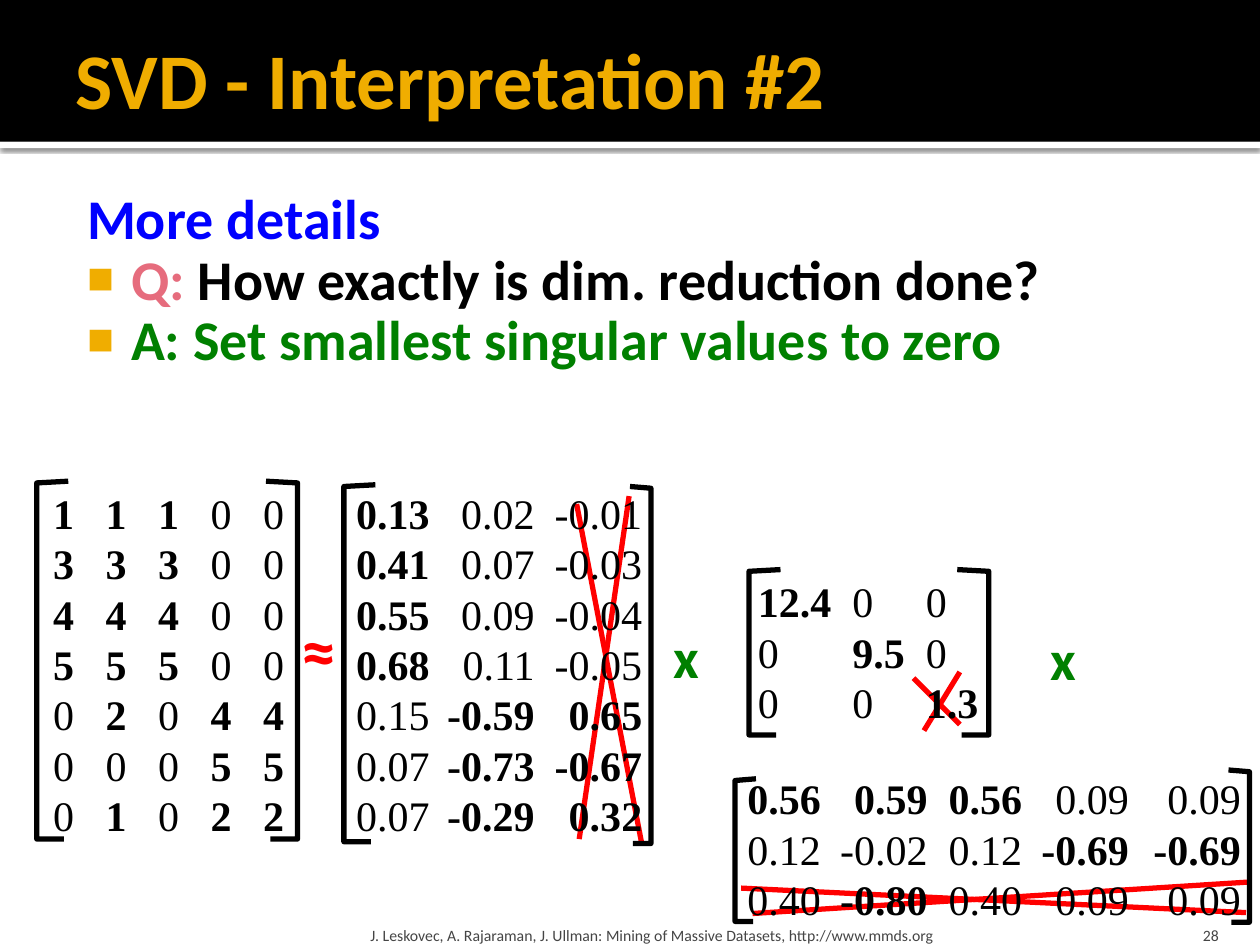
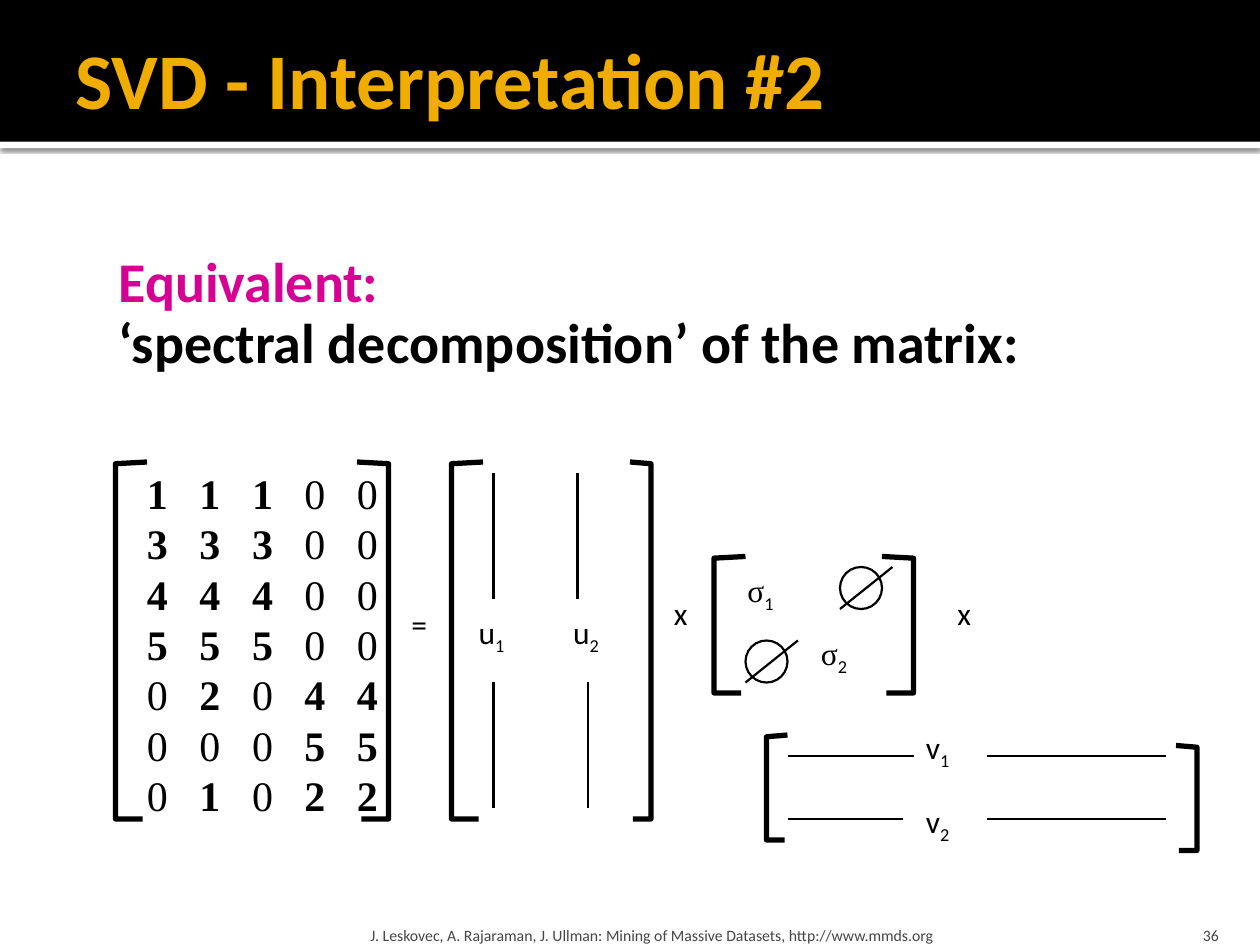
"""Build two slides on reading the SVD as dimensionality reduction and spectral decomposition."""
from dataclasses import dataclass
from lxml.etree import SubElement
from pptx import Presentation
from pptx.dml.color import RGBColor
from pptx.enum.shapes import MSO_CONNECTOR, MSO_SHAPE
from pptx.enum.text import MSO_ANCHOR, MSO_AUTO_SIZE, PP_ALIGN
from pptx.oxml.ns import qn
from pptx.util import Pt


@dataclass(frozen=True)
class Theme:
    black: str = "000000"
    white: str = "FFFFFF"
    gold: str = "F0AD00"
    blue: str = "0000FF"
    rose: str = "E66C7D"
    green: str = "008000"
    magenta: str = "D60093"
    red: str = "FF0000"
    grey: str = "454545"
    sans: str = "Calibri"
    serif: str = "Times New Roman"
    title: int = 45
    body: int = 32
    approx: int = 40
    cell: int = 24
    symbol: int = 18
    footer: int = 9
    row_pitch: float = 28.8
    bracket: float = 3
    thin: float = 1.25


theme = Theme()


def style(font, size, color, name=theme.sans, bold=False):
    font.size, font.name, font.bold = Pt(size), name, bold
    font.color.rgb = RGBColor.from_string(color)


def frame_at(shape, box, insets, anchor):
    shape.left, shape.top, shape.width, shape.height = map(Pt, box)
    frame = shape.text_frame
    frame.word_wrap, frame.auto_size = True, MSO_AUTO_SIZE.NONE
    frame.vertical_anchor = anchor
    frame.margin_left, frame.margin_top, frame.margin_right, frame.margin_bottom = map(Pt, insets)
    return frame


ratings = ["*1 *1 *1 0 0", "*3 *3 *3 0 0", "*4 *4 *4 0 0", "*5 *5 *5 0 0",
           "0 *2 0 *4 *4", "0 0 0 *5 *5", "0 *1 0 *2 *2"]
rating_tabs = [(30 * column, "l") for column in range(1, 5)]
left_vectors = ["*0.13 0.02 -0.01", "*0.41 0.07 -0.03", "*0.55 0.09 -0.04", "*0.68 0.11 -0.05",
                "0.15 *-0.59 *0.65", "0.07 *-0.73 *-0.67", "0.07 *-0.29 *0.32"]
singular_values = ["*12.4 0 0", "0 *9.5 0", "0 0 *1.3"]
right_vectors = ["*0.56 *0.59 *0.56 0.09 0.09", "0.12 -0.02 0.12 *-0.69 *-0.69",
                 "0.40 *-0.80 0.40 0.09 0.09"]

lessons = [
    dict(
        number="28",
        body_box=(36, 102, 648, 414),
        body=[(False, [("More details", theme.blue)]),
              (True, [("Q: ", theme.rose), ("How exactly is dim. reduction done?", theme.black)]),
              (True, [("A: Set smallest singular values to zero", theme.green)])],
        line_look=(theme.red, theme.bracket),
        lines=[(528, 417.5, 548.5, 384), (522, 387.5, 548.5, 414),
               (331, 479.5, 359.5, 283.5), (329.5, 288, 366.5, 481),
               (712, 521.5, 423.5, 507.5), (430, 522, 714, 504)],
        rings=[],
        brackets=[(21, 18, 275, 479.5), (170, -18, 275, 479.5),
                  (196.5, 18, 277, 481), (372, -12, 278, 482),
                  (428, 18, 325.5, 420), (565, -18, 325.5, 420),
                  (420, 12, 445, 526.5), (714, -12, 440, 527)],
        matrices=[((18, 275, 156, 211), 12.3, ratings, rating_tabs),
                  ((186.5, 275, 198, 211), 17, left_vectors, [(102, "r"), (163.5, "r")]),
                  ((426, 325.4, 156, 94.3), 7.2, singular_values, [(54, "l"), (96, "l")]),
                  ((420, 438, 300, 94.3), 7.2, right_vectors,
                   [(103, "r"), (157, "r"), (218, "r"), (282, "r")])],
        symbols=[((378, 352, 32, 46), "x", "", theme.body, theme.green, theme.sans),
                 ((593.3, 353, 32, 46), "x", "", theme.body, theme.green, theme.sans),
                 ((165, 342.7, 37, 55.5), "≈", "", theme.approx, theme.red, theme.sans)],
    ),
    dict(
        number="36",
        body_box=(54, 138, 612, 324),
        body=[(False, [("Equivalent:", theme.magenta)]),
              (False, [("‘spectral decomposition’ of the matrix:", theme.black)])],
        line_look=(theme.black, theme.thin),
        lines=[(282, 342, 282, 270), (282, 390, 282, 462),
               (330, 342, 330, 270), (336, 390, 336, 462),
               (450, 432, 522, 432), (564, 432, 666, 432),
               (450, 468, 516, 468), (564, 468, 666, 468)],
        rings=[(480, 324), (426, 366)],
        brackets=[(66, 18, 264, 468), (222, -18, 264, 468),
                  (258, 18, 264, 468), (372, -12, 264, 468),
                  (408, 18, 318, 396), (522, -18, 318, 396),
                  (438, 12, 420, 480), (684, -12, 426, 486)],
        matrices=[((72, 263.5, 156, 211), 12, ratings, rating_tabs)],
        symbols=[(box, text, sub, theme.symbol, theme.black, font) for box, text, sub, font in [
            ((228, 336, 30, 41), "=", "", theme.sans),
            ((378, 330, 29, 41), "x", "", theme.sans),
            ((540, 330, 29, 41), "x", "", theme.sans),
            ((266.4, 342, 38, 41), "u", "1", theme.sans),
            ((320.4, 342, 38, 41), "u", "2", theme.sans),
            ((420, 324, 48, 29), "σ", "1", theme.serif),
            ((462, 360, 48, 29), "σ", "2", theme.serif),
            ((522, 408, 38, 41), "v", "1", theme.sans),
            ((522, 450, 38, 41), "v", "2", theme.sans)]],
    ),
]

deck = Presentation()
deck.slide_width, deck.slide_height = Pt(720), Pt(540)

for lesson in lessons:
    slide = deck.slides.add_slide(deck.slide_layouts[1])
    shapes = slide.shapes

    for depth, (top, height, color) in enumerate([(81, 3.6, theme.white), (0, 81, theme.black)]):
        band = shapes.add_shape(MSO_SHAPE.RECTANGLE, 0, Pt(top), Pt(720), Pt(height))
        band.shadow.inherit = False
        band.fill.solid()
        band.fill.fore_color.rgb = RGBColor.from_string(color)
        band.line.fill.background()
        if color == theme.white:
            effects = band._element.spPr.find(qn("a:effectLst"))
            glow = SubElement(effects, qn("a:outerShdw"), blurRad=str(Pt(2.5)),
                              dist=str(Pt(0.8)), dir="5400000")
            tint = SubElement(glow, qn("a:srgbClr"), val=theme.black)
            SubElement(tint, qn("a:alpha"), val="60000")
        shapes._spTree.insert(2 + depth, band._element)

    title = frame_at(shapes.title, (36, 6, 648, 77.5), (7.2, 3.6, 3.6, 3.6), MSO_ANCHOR.MIDDLE).paragraphs[0]
    title.text, title.alignment = "SVD - Interpretation #2", PP_ALIGN.LEFT
    style(title.font, theme.title, theme.gold, bold=True)

    body = frame_at(slide.placeholders[1], lesson["body_box"], (4.3, 7.2, 7.2, 3.6), MSO_ANCHOR.TOP)
    for index, (bulleted, phrases) in enumerate(lesson["body"]):
        point = body.add_paragraph() if index else body.paragraphs[0]
        props = point._p.get_or_add_pPr()
        props.set("marL", str(Pt(34.6)))
        props.set("indent", str(Pt(-25.2)))
        if bulleted:
            SubElement(SubElement(props, qn("a:buClr")), qn("a:srgbClr"), val=theme.gold)
            SubElement(props, qn("a:buSzPct"), val="80000")
            SubElement(props, qn("a:buChar"), char="■")
        else:
            SubElement(props, qn("a:buNone"))
        point.line_spacing, point.space_before = 0.9, Pt(0)
        style(point.font, theme.body, phrases[-1][1], bold=True)
        for text, color in phrases:
            phrase = point.add_run()
            phrase.text = text
            if color != phrases[-1][1]:
                phrase.font.color.rgb = RGBColor.from_string(color)

    credit = "J. Leskovec, A. Rajaraman, J. Ullman: Mining of Massive Datasets, http://www.mmds.org"
    for box, side, text, alignment in [
            ((208, 518.4, 433.5, 21.6), 3.6, credit, PP_ALIGN.LEFT),
            ((646, 518.4, 57.6, 21.6), 7.2, lesson["number"], PP_ALIGN.RIGHT)]:
        footer = frame_at(shapes.add_textbox(0, 0, 0, 0), box, (side, 3.6, side, 0),
                          MSO_ANCHOR.BOTTOM).paragraphs[0]
        footer.text, footer.alignment = text, alignment
        style(footer.font, theme.footer, theme.grey)

    slashes = []
    for left, top in lesson["rings"]:
        ring = shapes.add_shape(MSO_SHAPE.OVAL, Pt(left), Pt(top), Pt(24), Pt(24))
        ring.shadow.inherit = False
        ring.fill.background()
        ring.line.color.rgb = RGBColor.from_string(theme.black)
        ring.line.width = Pt(theme.thin)
        slashes.append((left + 30, top, left, top + 24))

    line_color, line_width = lesson["line_look"]
    for ends in lesson["lines"] + slashes:
        stroke = shapes.add_connector(MSO_CONNECTOR.STRAIGHT, *map(Pt, ends))
        stroke.line.color.rgb = RGBColor.from_string(line_color)
        stroke.line.width = Pt(line_width)
        SubElement(stroke._element.spPr, qn("a:effectLst"))

    for edge, lip, top, bottom in lesson["brackets"]:
        outline = shapes.build_freeform(Pt(edge + lip), Pt(top))
        outline.add_line_segments([(Pt(edge), Pt(top + 1)), (Pt(edge), Pt(bottom)),
                                   (Pt(edge + 0.86 * lip), Pt(bottom))], close=False)
        bracket = outline.convert_to_shape()
        bracket.shadow.inherit = False
        bracket.fill.background()
        bracket.line.color.rgb = RGBColor.from_string(theme.black)
        bracket.line.width = Pt(theme.bracket)

    for box, inset, rows, stops in lesson["matrices"]:
        matrix = frame_at(shapes.add_textbox(0, 0, 0, 0), box, (inset, 3.6, 0, 3.6), MSO_ANCHOR.TOP)
        for index, cells in enumerate(rows):
            row = matrix.add_paragraph() if index else matrix.paragraphs[0]
            tabs = SubElement(row._p.get_or_add_pPr(), qn("a:tabLst"))
            for position, side in stops:
                SubElement(tabs, qn("a:tab"), pos=str(Pt(position)), algn=side)
            row.line_spacing = Pt(theme.row_pitch)
            style(row.font, theme.cell, theme.black, theme.serif)
            for column, value in enumerate(cells.split()):
                entry = row.add_run()
                entry.text = ("\t" if column else "") + value.lstrip("*")
                entry.font.bold = value.startswith("*")

    for box, text, subscript, size, color, font in lesson["symbols"]:
        symbol = frame_at(shapes.add_textbox(0, 0, 0, 0), box, (7.2, 3.6, 7.2, 3.6),
                          MSO_ANCHOR.MIDDLE).paragraphs[0]
        style(symbol.font, size, color, font, bold=size > theme.symbol)
        symbol.add_run().text = text
        if subscript:
            lowered = symbol.add_run()
            lowered.text, lowered.font.name = subscript, theme.sans
            lowered._r.get_or_add_rPr().set("baseline", "-25000")

deck.save("out.pptx")
